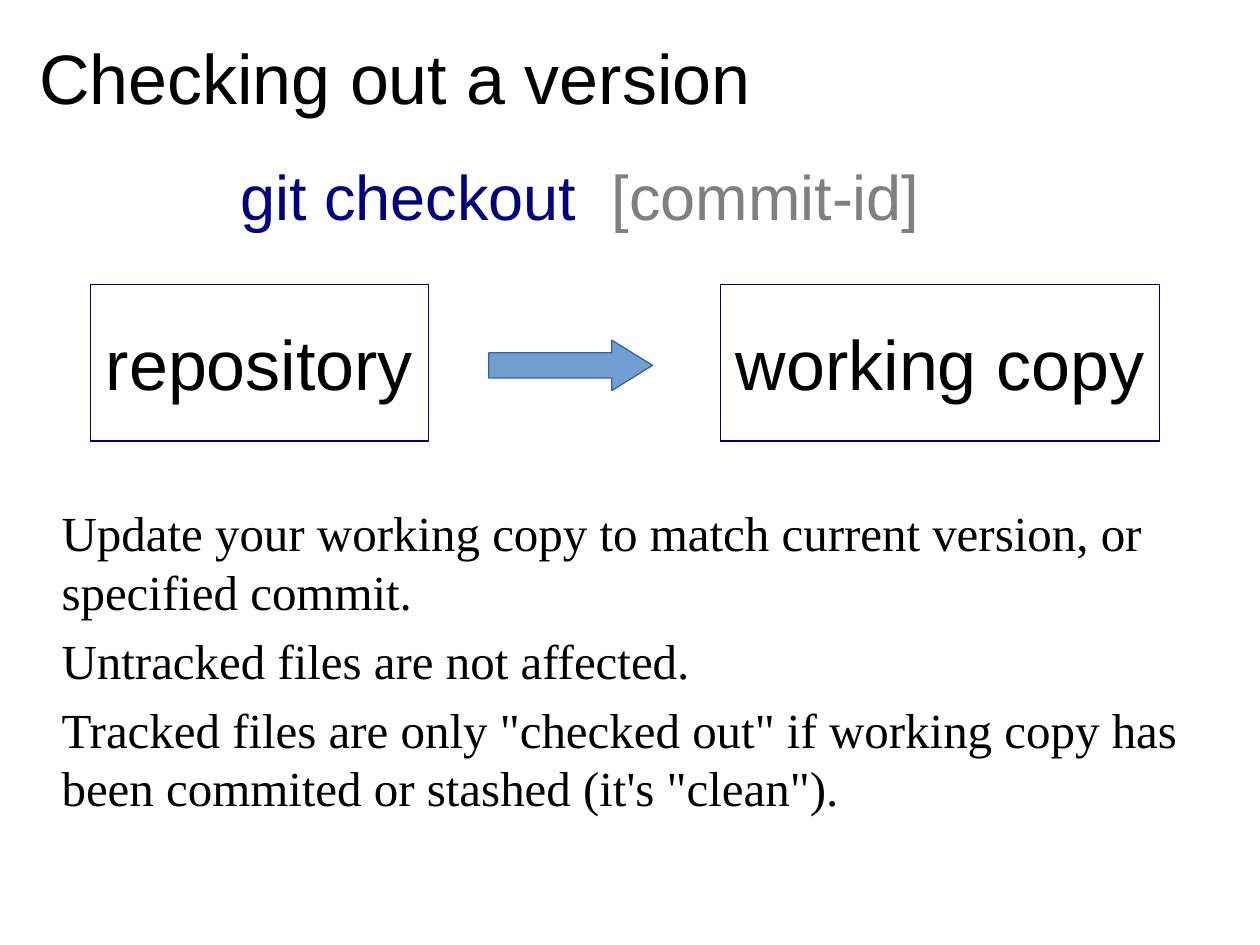
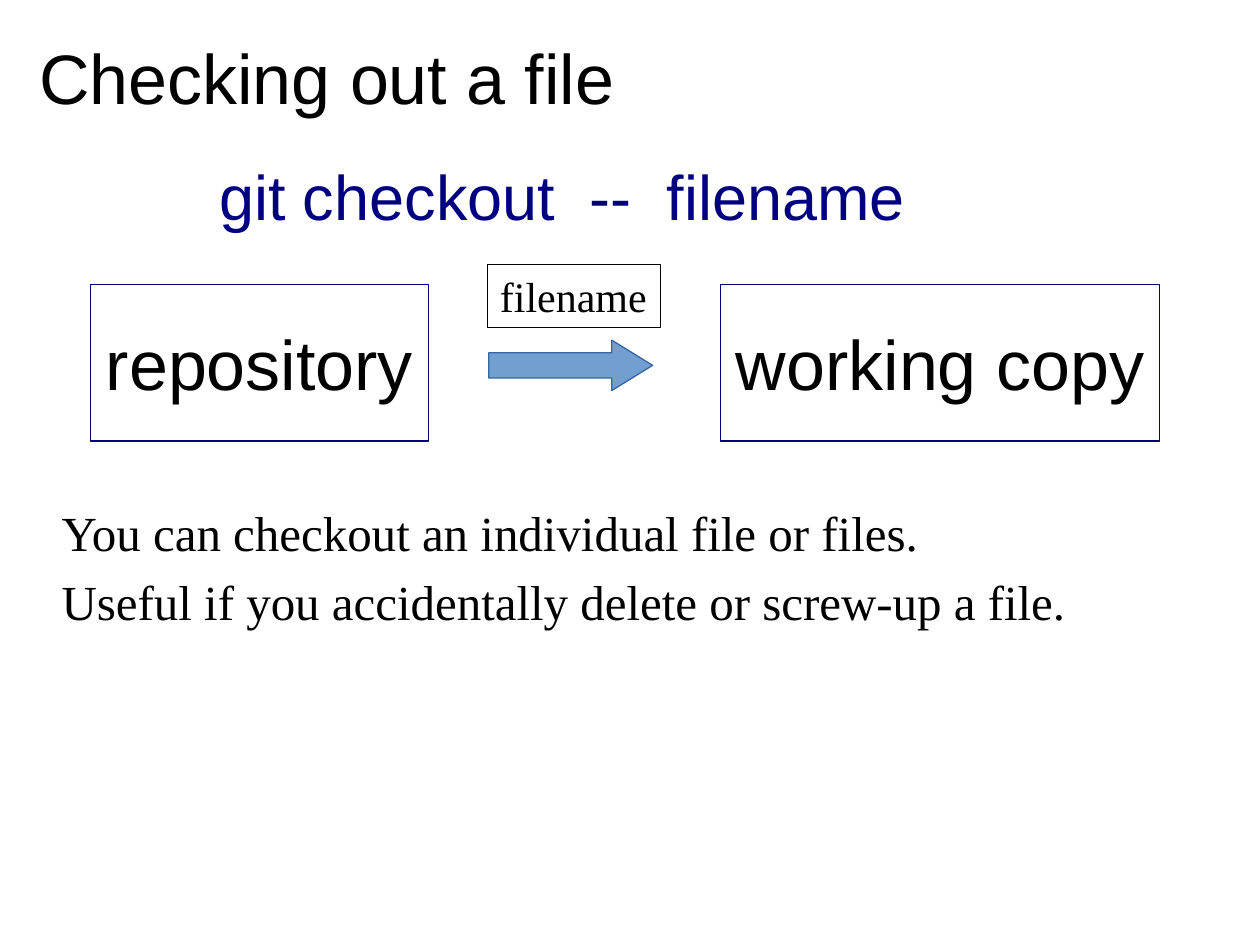
from pptx import Presentation
from pptx.dml.color import RGBColor
from pptx.enum.shapes import MSO_SHAPE
from pptx.enum.text import MSO_ANCHOR, MSO_AUTO_SIZE, PP_ALIGN
from pptx.util import Inches, Pt

RECTANGLE, RIGHT_ARROW = MSO_SHAPE.RECTANGLE, MSO_SHAPE.RIGHT_ARROW
TOP, MIDDLE = MSO_ANCHOR.TOP, MSO_ANCHOR.MIDDLE
GROW, FIXED = MSO_AUTO_SIZE.SHAPE_TO_FIT_TEXT, MSO_AUTO_SIZE.NONE
LEFT = PP_ALIGN.LEFT

BLACK, NAVY, GREY = "000000", "000080", "808080"
ARROW_FILL, ARROW_LINE = "729FCF", "3465A4"
SANS, SERIF = "Arial", "Times New Roman"
TEXT_INSETS = (0.1, 0.05, 0.1, 0.05)


def color(value):
    """Turn a hex string into a colour."""
    return RGBColor.from_string(value)


class CheckoutDeck:
    """Hold the deck style and the slide being drawn."""

    def __init__(self):
        """Start an empty deck."""
        self.deck = Presentation()
        self.deck.slide_width, self.deck.slide_height = Inches(10), Inches(7.5)
        self.page = None

    def new_page(self, title):
        """Add a slide with its title."""
        self.page = self.deck.slides.add_slide(self.deck.slide_layouts[6])
        box = self.text_box(0.31, 0.29, 9.29, 0.67)
        self.fill_text(box, [[(title, BLACK)]], SANS, 40, insets=(0, 0.04, 0, 0),
                       line_spacing=0.93)

    def text_box(self, *place):
        """Add a plain text box."""
        return self.page.shapes.add_textbox(*map(Inches, place))

    def shape(self, kind, line, *place, fill=None):
        """Add a preset shape with a hairline outline."""
        shape = self.page.shapes.add_shape(kind, *map(Inches, place))
        shape.shadow.inherit = False
        shape.line.color.rgb = color(line)
        shape.line.width = Pt(0)
        if fill:
            shape.fill.solid()
            shape.fill.fore_color.rgb = color(fill)
        else:
            shape.fill.background()
        return shape

    def fill_text(self, box, paragraphs, font, size, insets=TEXT_INSETS, anchor=MIDDLE,
                  wrap=True, grow=False, gap=0, line_spacing=1.0):
        """Fill a box with paragraphs made of (text, colour) spans."""
        frame = box.text_frame
        sides = ("margin_left", "margin_top", "margin_right", "margin_bottom")
        frame_format = dict(zip(sides, map(Inches, insets)))
        frame_format.update(vertical_anchor=anchor, word_wrap=wrap,
                            auto_size=GROW if grow else FIXED)
        for name, value in frame_format.items():
            setattr(frame, name, value)
        for index, spans in enumerate(paragraphs):
            para = frame.add_paragraph() if index else frame.paragraphs[0]
            para_format = {"alignment": LEFT, "line_spacing": line_spacing,
                           "space_before": Pt(gap if index else 0)}
            for name, value in para_format.items():
                setattr(para, name, value)
            for text, shade in spans:
                span = para.add_run()
                span.text = text
                for name, value in {"name": font, "size": Pt(size)}.items():
                    setattr(span.font, name, value)
                span.font.color.rgb = color(shade)

    def command(self, left, width, *spans):
        """Add the git command under the title."""
        box = self.text_box(left, 1.2, width, 0.7)
        self.fill_text(box, [spans], SANS, 36, wrap=False, grow=True)

    def place_box(self, name, left, width):
        """Add a large outlined box for a place that holds files."""
        box = self.shape(RECTANGLE, NAVY, left, 2.26, width, 1.24)
        self.fill_text(box, [[(name, BLACK)]], SANS, 40, insets=[0.12] * 4,
                       wrap=False, grow=True)

    def flow(self):
        """Draw the arrow from the repository to the working copy."""
        self.place_box("repository", 0.72, 2.68)
        self.place_box("working copy", 5.72, 3.48)
        arrow = self.shape(RIGHT_ARROW, ARROW_LINE, 3.88, 2.7, 1.3, 0.4, fill=ARROW_FILL)
        arrow.adjustments[0], arrow.adjustments[1] = 0.5, 0.81

    def file_label(self, name):
        """Add the small file box above the arrow."""
        box = self.shape(RECTANGLE, BLACK, 3.87, 2.1, 1.37, 0.5)
        self.fill_text(box, [[(name, BLACK)]], SERIF, 24, wrap=False, grow=True)

    def explanation(self, *lines):
        """Add the explaining paragraphs below the flow."""
        box = self.text_box(0.39, 3.94, 9.29, 1.3)
        self.fill_text(box, [[(line, BLACK)] for line in lines], SERIF, 28,
                       anchor=TOP, gap=5.7)


def main():
    """Build both slides and save the deck."""
    slides = CheckoutDeck()

    slides.new_page("Checking out a version")
    slides.explanation(
        "Update your working copy to match current version, or specified commit.",
        "Untracked files are not affected.",
        "Tracked files are only \"checked out\" if working copy has been commited "
        "or stashed (it's \"clean\").")
    slides.flow()
    slides.command(1.81, 5.59, ("git checkout  ", NAVY), ("[commit-id]", GREY))

    slides.new_page("Checking out a file")
    slides.explanation(
        "You can checkout an individual file or files.",
        "Useful if you accidentally delete or screw-up a file.")
    slides.flow()
    slides.command(1.64, 5.92, ("git checkout  --  filename", NAVY))
    slides.file_label("filename")

    slides.deck.save("out.pptx")


if __name__ == "__main__":
    main()
